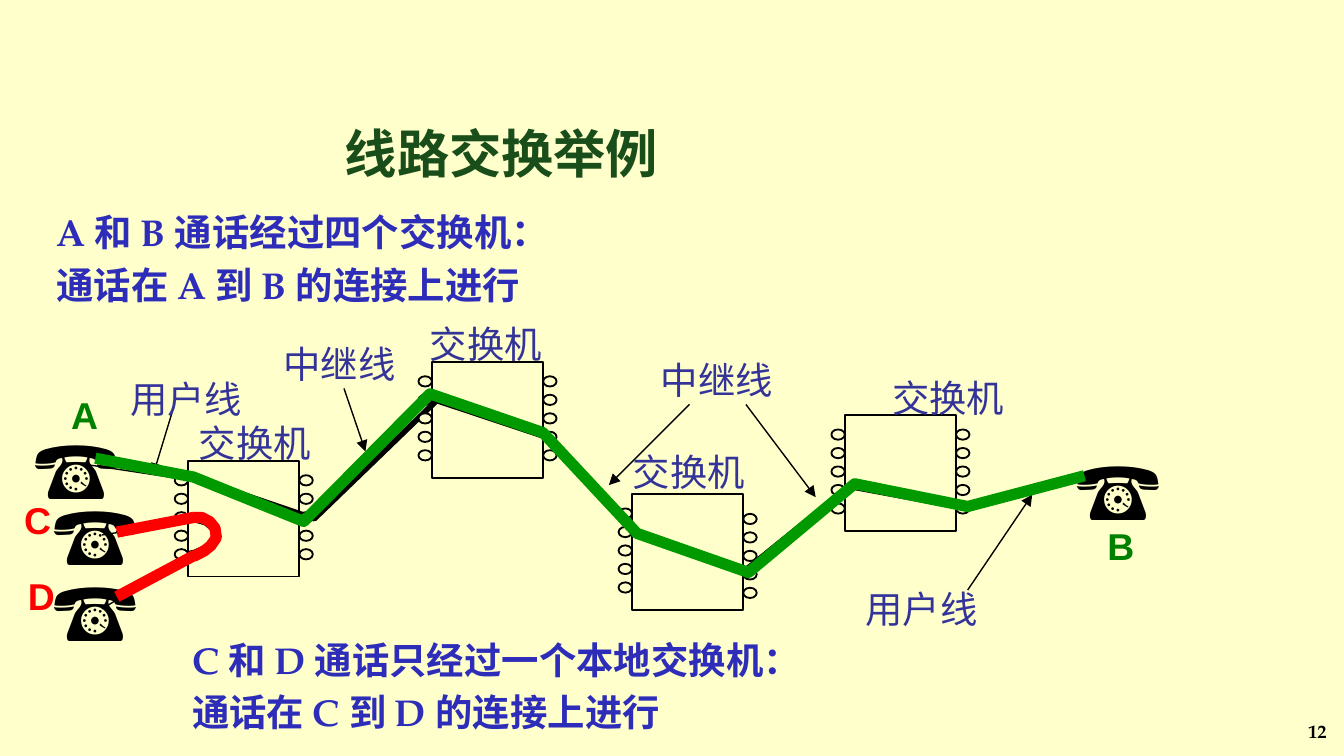
from lxml.etree import SubElement
from pptx import Presentation
from pptx.dml.color import RGBColor
from pptx.enum.shapes import MSO_CONNECTOR as LINE, MSO_SHAPE as SHAPE
from pptx.enum.text import MSO_ANCHOR as ANCHOR, MSO_AUTO_SIZE as FIT, PP_ALIGN as ALIGN
from pptx.oxml.ns import qn
from pptx.util import Pt

COLORS = {"paper": "FFFFCC", "ink": "000000", "title": "194D19", "body": "2D2DB9",
          "label": "333399", "far": "008000", "local": "FF0000", "call": "009900"}
SERIF, SANS, ROMAN = "TeX Gyre Pagella", "Arial", "Times New Roman"


def rgb(name):
    return RGBColor.from_string(COLORS[name])


class CircuitSlide:
    """Holds the style and the slide being drawn; all lengths are points."""

    def __init__(self, slide):
        self.slide = slide
        self.shapes = slide.shapes
        slide.background.fill.solid()
        slide.background.fill.fore_color.rgb = rgb("paper")

    def place(self, shape, left, top, width, height):
        shape.left, shape.top = Pt(left), Pt(top)
        shape.width, shape.height = Pt(width), Pt(height)
        shape.text_frame.auto_size = FIT.NONE
        shape.text_frame.word_wrap = True
        return shape.text_frame

    def box(self, *bounds):
        return self.place(self.shapes.add_textbox(0, 0, 0, 0), *bounds)

    def run(self, paragraph, text, size, font, color, bold=False):
        run = paragraph.add_run()
        run.text = text
        run.font.size, run.font.name, run.font.bold = Pt(size), font, bold
        run.font.color.rgb = rgb(color)

    def title(self, text, *bounds):
        frame = self.place(self.shapes.title, *bounds)
        frame.vertical_anchor = ANCHOR.BOTTOM
        frame.paragraphs[0].alignment = ALIGN.CENTER
        self.run(frame.paragraphs[0], text, 28, SERIF, "title", True)

    def statement(self, frame, lines):
        for i, line in enumerate(lines):
            paragraph = frame.add_paragraph() if i else frame.paragraphs[0]
            paragraph.space_before = Pt(4)
            props = paragraph._p.get_or_add_pPr()
            props.set("marL", str(Pt(27)))
            props.set("indent", str(-Pt(27)))
            SubElement(props, qn("a:buNone"))
            self.run(paragraph, line, 20, SERIF, "body", True)

    def label(self, text, left, top, width=78, height=31, size=20,
              font=ROMAN, color="label", bold=False):
        frame = self.box(left, top, width, height)
        frame.word_wrap = False
        frame.auto_size = FIT.SHAPE_TO_FIT_TEXT
        self.run(frame.paragraphs[0], text, size, font, color, bold)

    def phone(self, left, top):
        self.label("☎", left, top, 62, 60, 44, SANS, "ink")

    def party(self, letter, left, top, color):
        self.label(letter, left, top, 29, 31, 20, SANS, color, True)

    def line(self, start, end, color="ink", width=0.75, arrow=False):
        ends = [Pt(v) for v in (*start, *end)]
        connector = self.shapes.add_connector(LINE.STRAIGHT, *ends)
        connector.line.color.rgb = rgb(color)
        connector.line.width = Pt(width)
        if arrow:
            SubElement(connector.line._get_or_add_ln(), qn("a:tailEnd"), type="triangle")
        SubElement(connector._element.spPr, qn("a:effectLst"))

    def route(self, points, color, width):
        start, *rest = [(Pt(x), Pt(y)) for x, y in points]
        builder = self.shapes.build_freeform(*start)
        builder.add_line_segments(rest, close=False)
        self.outline(builder.convert_to_shape(), color, width)

    def outline(self, shape, color="ink", width=1, fill=None):
        shape.shadow.inherit = False
        shape.line.color.rgb = rgb(color)
        shape.line.width = Pt(width)
        if fill:
            shape.fill.solid()
            shape.fill.fore_color.rgb = rgb(fill)
        else:
            shape.fill.background()

    def switch(self, left, top, right_drop=0):
        """A square with five ports down each side."""
        parts = self.shapes.add_group_shape().shapes
        self.outline(parts.add_shape(SHAPE.RECTANGLE, Pt(left), Pt(top), Pt(59.4), Pt(61.9)))
        for port_left, drop in ((left - 7.2, 0), (left + 59.6, right_drop)):
            for i in range(5):
                port_top = top + 7.6 + drop + 9.9 * i
                port = parts.add_shape(SHAPE.OVAL, Pt(port_left), Pt(port_top), Pt(7.2), Pt(5.5))
                self.outline(port, fill="paper")


def main():
    deck = Presentation()
    deck.slide_width, deck.slide_height = Pt(720), Pt(405)
    page = CircuitSlide(deck.slides.add_slide(deck.slide_layouts[1]))

    # Slide number, title and statement about A and B
    number = page.box(489.6, 382.3, 228.2, 18.7).paragraphs[0]
    number.alignment = ALIGN.RIGHT
    page.run(number, "12", 10, SERIF, "ink", True)
    page.title("线路交换举例", 31, 61.2, 475.2, 41)
    body = page.place(page.slide.placeholders[1], 23, 108.7, 365, 65.5)
    page.statement(body, ["A 和 B 通话经过四个交换机：", "通话在 A 到 B 的连接上进行"])

    # Subscriber lines and trunks under the switches
    for start, end in [((54.7, 326.2), (99.4, 298.8)), ((54.7, 286.6), (110.9, 277.9)),
                       ((518.4, 270.7), (581, 253.4)), ((43.2, 248.4), (110.2, 258.5))]:
        page.line(start, end)
    page.route([(109.4, 257), (109.4, 257.8), (168.5, 277.9), (234, 214.6), (292.3, 234),
                (341.3, 284.4), (399.6, 305.3), (455, 260.6), (513.4, 271.4), (511.9, 270.7)],
               "ink", 3)
    page.route([(99.4, 277.9), (105.1, 278.6), (110.2, 280.1), (114.5, 283.7),
                (114.5, 288), (110.9, 293), (104.4, 295.9), (97.9, 297.4)], "ink", 3)

    # Switches and telephones
    for left, top, drop in [(100.8, 247, 0), (231.4, 194, 0), (338.6, 264.8, 2.9), (452.6, 222.5, 0)]:
        page.switch(left, top, drop)
    for left, top in [(11.5, 220.3), (569.5, 231.1), (21.6, 255.6), (21.6, 295.9)]:
        page.phone(left, top)

    # Pointers from the labels to the lines
    for start, end in [((92.2, 221), (82.1, 254.2)), ((518.4, 316.1), (553, 265)),
                       ((369.4, 216.7), (326.2, 259.9)), ((399.6, 216.7), (437, 266.4)),
                       ((184.3, 208.1), (195.8, 241.9))]:
        page.line(start, end, arrow=True)

    # Labels
    labels = {"交换机": [(99.4, 221.8), (223.2, 168.5), (331.9, 236.9), (470.9, 197.3)],
              "用户线": [(62.6, 198), (456.5, 310.3)],
              "中继线": [(347, 187.9), (144.7, 179.3)]}
    for text, spots in labels.items():
        for left, top in spots:
            page.label(text, left, top)
    for letter, left, top, color in [("B", 586.1, 276.5, "far"), ("D", 7.9, 303.8, "local"),
                                     ("C", 5.8, 262.8, "local"), ("A", 31, 206.6, "far")]:
        page.party(letter, left, top, color)

    # The call from A to B, then the local call from C to D
    page.route([(51.1, 245.5), (103.7, 255.6), (162.7, 279.4), (230.4, 211), (290.9, 231.8),
                (341.3, 285.8), (401, 306.7), (457.9, 259.2), (518.4, 271.4), (581, 254.9)],
               "call", 6)
    page.route([(103, 277.2), (108, 277.2), (112.3, 279.4), (115.2, 283),
                (115.9, 288), (113, 292.3), (109.4, 295.2), (103.7, 298.1)], "local", 6)
    page.line((62.6, 285.1), (103.7, 277.2), "local", 6)
    page.line((62.6, 319.7), (104.4, 297.4), "local", 6)

    # Statement about C and D
    page.statement(page.box(95.8, 337.7, 360.7, 63.4),
                   ["C 和 D 通话只经过一个本地交换机：", "通话在 C 到 D 的连接上进行"])

    deck.save("out.pptx")


if __name__ == "__main__":
    main()
